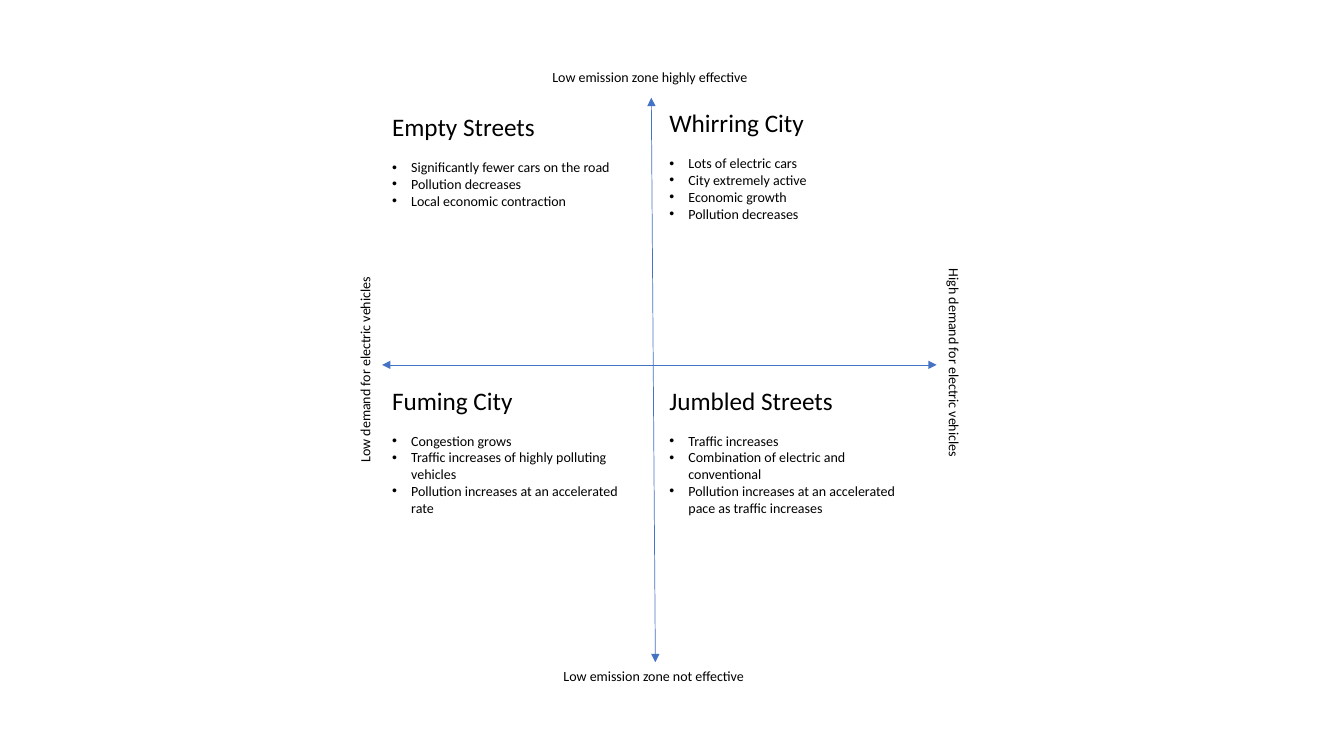
"""Build a scenario matrix of low emission zones against electric vehicle demand."""
from lxml.etree import SubElement
from pptx import Presentation
from pptx.dml.color import RGBColor
from pptx.enum.shapes import MSO_CONNECTOR as Connector
from pptx.oxml.ns import qn
from pptx.util import Inches, Pt

BLUE = RGBColor(0x44, 0x72, 0xC4)
BLACK = RGBColor(0, 0, 0)


class MatrixSlide:
    """Hold the text and line style and draw on the current slide."""

    font = "Calibri"
    heading_size = Pt(18)
    body_size = Pt(10)
    heading_gap = Pt(12)
    indent = Inches(0.19)
    line_width = Pt(0.5)

    def __init__(self, presentation):
        """Add a blank slide."""
        self.slide = presentation.slides.add_slide(presentation.slide_layouts[6])

    def text_box(self, left, top, width, height):
        """Add a wrapping text box."""
        shape = self.slide.shapes.add_textbox(
            Inches(left), Inches(top), Inches(width), Inches(height))
        shape.text_frame.word_wrap = True
        return shape

    def add_text(self, paragraph, text, size):
        """Add one styled run to a paragraph."""
        run = paragraph.add_run()
        run.text = text
        run.font.name = self.font
        run.font.size = size
        run.font.color.rgb = BLACK

    def bullet(self, paragraph):
        """Give a paragraph a hanging bullet."""
        properties = paragraph._p.get_or_add_pPr()
        properties.set("marL", str(self.indent))
        properties.set("indent", str(-self.indent))
        SubElement(properties, qn("a:buFont"), typeface="Arial")
        SubElement(properties, qn("a:buChar"), char="•")

    def axis(self, start, end):
        """Draw a line with an arrowhead at each end."""
        connector = self.slide.shapes.add_connector(
            Connector.STRAIGHT, *map(Inches, start + end))
        connector.line.color.rgb = BLUE
        connector.line.width = self.line_width
        line = connector.line._get_or_add_ln()
        for tag in ("a:headEnd", "a:tailEnd"):
            SubElement(line, qn(tag), type="triangle")
        SubElement(connector._element.spPr, qn("a:effectLst"))

    def axis_label(self, text, left, top, width, rotation=0):
        """Name one end of an axis."""
        shape = self.text_box(left, top, width, 0.27)
        shape.rotation = rotation
        self.add_text(shape.text_frame.paragraphs[0], text, self.body_size)

    def scenario(self, title, points, left, top, height):
        """Fill a quadrant with a heading and its bullets."""
        frame = self.text_box(left, top, 2.64, height).text_frame
        heading = frame.paragraphs[0]
        heading.space_after = self.heading_gap
        self.add_text(heading, title, self.heading_size)
        for point in points:
            paragraph = frame.add_paragraph()
            self.bullet(paragraph)
            self.add_text(paragraph, point, self.body_size)


LEFT_COLUMN, RIGHT_COLUMN = 3.79, 6.54
LOWER_ROW = 3.77
SCENARIOS = [
    ("Empty Streets",
     ["Significantly fewer cars on the road", "Pollution decreases",
      "Local economic contraction"],
     LEFT_COLUMN, 1.06, 1.25),
    ("Whirring City",
     ["Lots of electric cars", "City extremely active", "Economic growth",
      "Pollution decreases"],
     RIGHT_COLUMN, 1.02, 1.41),
    ("Fuming City",
     ["Congestion grows", "Traffic increases of highly polluting vehicles",
      "Pollution increases at an accelerated rate"],
     LEFT_COLUMN, LOWER_ROW, 1.41),
    ("Jumbled Streets",
     ["Traffic increases", "Combination of electric and conventional",
      "Pollution increases at an accelerated pace as traffic increases"],
     RIGHT_COLUMN, LOWER_ROW, 1.41),
]
AXIS_LABELS = [
    ("Low emission zone highly effective", 5.38, 0.63, 2.18),
    ("Low emission zone not effective", 5.49, 6.57, 2.02),
    ("Low demand for electric vehicles", 2.55, 3.48, 2.14, 270),
    ("High demand for electric vehicles", 8.42, 3.48, 2.09, 90),
]

presentation = Presentation()
presentation.slide_width = Inches(13.33)
presentation.slide_height = Inches(7.5)
matrix = MatrixSlide(presentation)
matrix.axis((6.46, 0.97), (6.5, 6.57))
matrix.axis((9.29, 3.62), (3.79, 3.62))
for scenario in SCENARIOS:
    matrix.scenario(*scenario)
for label in AXIS_LABELS:
    matrix.axis_label(*label)
presentation.save("out.pptx")
